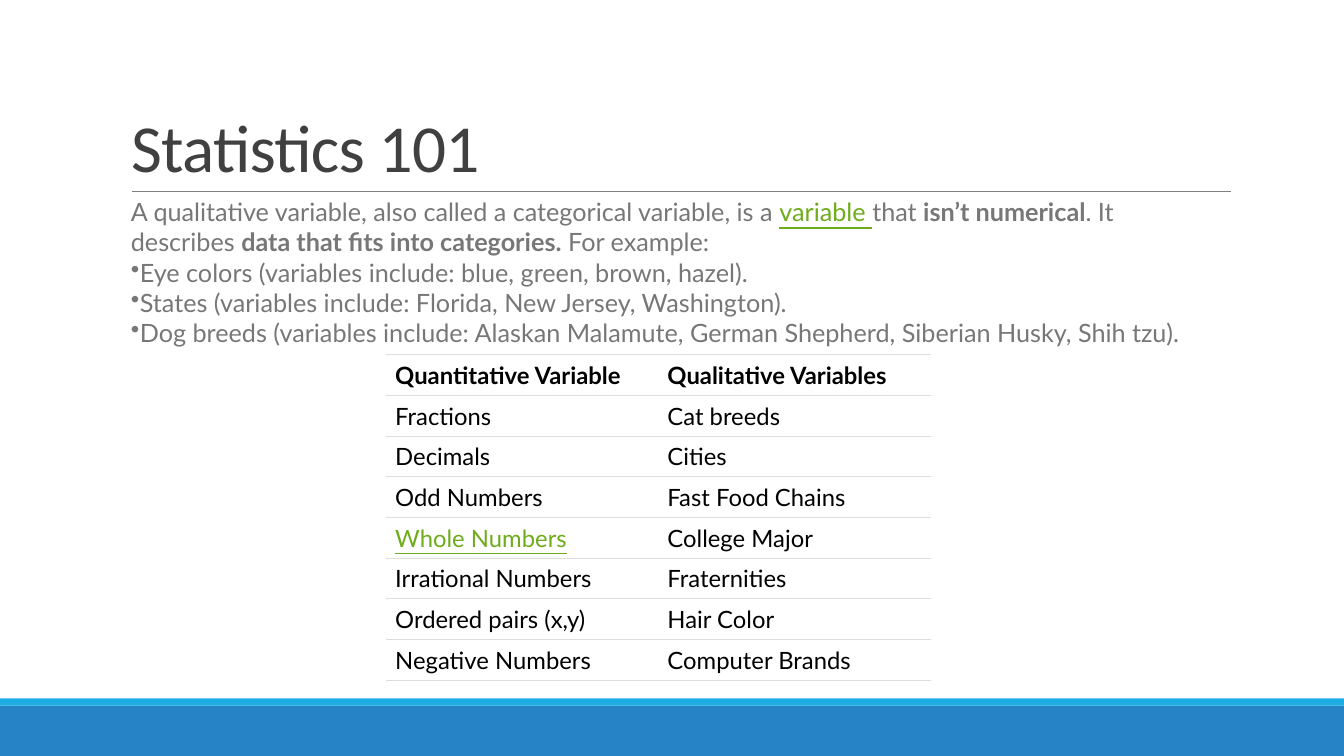
"""Build the Statistics 101 slide on qualitative and quantitative variables."""
from dataclasses import dataclass

from lxml.etree import SubElement
from pptx import Presentation
from pptx.dml.color import RGBColor
from pptx.enum.shapes import MSO_CONNECTOR, MSO_SHAPE
from pptx.enum.text import MSO_ANCHOR, MSO_AUTO_SIZE, PP_ALIGN
from pptx.oxml.ns import qn
from pptx.util import Emu, Pt


@dataclass(frozen=True)
class Theme:
    """Colours, fonts and type sizes."""
    title: str = "404040"
    body: str = "777777"
    cell: str = "000000"
    accent: str = "6EAC1C"
    rule: str = "808080"
    border: str = "DDDDDD"
    paper: str = "FFFFFF"
    band: str = "2683C6"
    stripe: str = "1CADE4"
    title_font: str = "Calibri"
    body_font: str = "Lato"
    title_size: int = 48
    body_size: int = 18
    cell_size: int = 17


def px(n):
    """Turn px, at 100 to the inch, into EMU."""
    return Emu(n * 9144)


def rgb(value):
    """Turn a hex string into a colour."""
    return RGBColor.from_string(value)


def add_run(p, text, font, size, color, bold=False, underline=False, spacing=None):
    """Add formatted text to a paragraph."""
    r = p.add_run()
    r.text = text
    f = r.font
    f.name, f.size, f.bold, f.underline = font, Pt(size), bold, underline
    f.color.rgb = rgb(color)
    if spacing is not None:
        r._r.get_or_add_rPr().set("spc", str(spacing))


class SlideBuilder:
    """Hold the theme and the slide, and draw each kind of element."""

    def __init__(self, prs, theme):
        """Start a title-only slide."""
        self.t = theme
        self.s = prs.slides.add_slide(prs.slide_layouts[5])

    def bar(self, x, y, w, h, color):
        """Draw a plain filled bar."""
        sp = self.s.shapes.add_shape(MSO_SHAPE.RECTANGLE, px(x), px(y), px(w), px(h))
        sp.shadow.inherit = False
        sp.fill.solid()
        sp.fill.fore_color.rgb = rgb(color)
        sp.line.fill.background()

    def rule(self, x1, x2, y):
        """Draw a thin horizontal line."""
        ln = self.s.shapes.add_connector(MSO_CONNECTOR.STRAIGHT, px(x1), px(y), px(x2), px(y))
        ln.line.color.rgb = rgb(self.t.rule)
        ln.line.width = Pt(0.5)
        SubElement(ln._element.spPr, qn("a:effectLst"))

    def title(self, text, x, y, w, h):
        """Place and fill the title placeholder."""
        sp = self.s.shapes.title
        sp.left, sp.top, sp.width, sp.height = px(x), px(y), px(w), px(h)
        tf = sp.text_frame
        tf.word_wrap = True
        tf.auto_size = MSO_AUTO_SIZE.NONE
        tf.vertical_anchor = MSO_ANCHOR.BOTTOM
        p = tf.paragraphs[0]
        p.alignment = PP_ALIGN.LEFT
        p.line_spacing = 0.85
        add_run(p, text, self.t.title_font, self.t.title_size, self.t.title, spacing=-50)

    def body(self, intro, bullets, x, y, w, h):
        """Write an introduction of formatted runs, then bullets."""
        tf = self.s.shapes.add_textbox(px(x), px(y), px(w), px(h)).text_frame
        tf.word_wrap = True
        style = dict(font=self.t.body_font, size=self.t.body_size, color=self.t.body)
        for text, extra in intro:
            add_run(tf.paragraphs[0], text, **{**style, **extra})
        for text in bullets:
            p = tf.add_paragraph()
            pPr = p._p.get_or_add_pPr()
            pPr.set("marL", "0")
            pPr.set("indent", "0")
            SubElement(pPr, qn("a:buChar"), char="•")
            add_run(p, text, **style)

    def table(self, rows, linked, x, y, col_w, row_h):
        """Draw a ruled table with a bold header row."""
        n, m = len(rows), len(rows[0])
        tbl = self.s.shapes.add_table(n, m, px(x), px(y), px(col_w * m), px(row_h * n)).table
        tbl.first_row = tbl.horz_banding = False
        for col in tbl.columns:
            col.width = px(col_w)
        for i, row in enumerate(rows):
            tbl.rows[i].height = px(row_h)
            for j, text in enumerate(row):
                self.cell(tbl.cell(i, j), text, bold=i == 0, link=text in linked)

    def cell(self, c, text, bold, link):
        """Fill one table cell and rule its top and bottom."""
        c.margin_left, c.margin_right = px(9), px(10)
        c.margin_top = c.margin_bottom = px(6)
        c.vertical_anchor = MSO_ANCHOR.MIDDLE
        tcPr = c._tc.get_or_add_tcPr()
        for side in "LR":
            SubElement(SubElement(tcPr, qn(f"a:ln{side}")), qn("a:noFill"))
        for side in "TB":
            ln = SubElement(tcPr, qn(f"a:ln{side}"), w=str(Pt(0.75)))
            SubElement(SubElement(ln, qn("a:solidFill")), qn("a:srgbClr"), val=self.t.border)
        c.fill.solid()
        c.fill.fore_color.rgb = rgb(self.t.paper)
        add_run(c.text_frame.paragraphs[0], text, self.t.body_font, self.t.cell_size,
                self.t.accent if link else self.t.cell, bold=bold, underline=link)


def main():
    """Build and save the slide."""
    prs = Presentation()
    prs.slide_width, prs.slide_height = px(1333), px(750)
    theme = Theme()
    s = SlideBuilder(prs, theme)
    s.bar(0, 700, 1333, 50, theme.band)
    s.bar(0, 693, 1333, 7, theme.stripe)
    s.rule(131, 1221, 190)
    s.title("Statistics 101", 120, 31, 1100, 159)
    intro = [
        ("A qualitative variable, also called a categorical variable, is a ", {}),
        ("variable ", dict(color=theme.accent, underline=True)),
        ("that ", {}),
        ("isn’t numerical", dict(bold=True)),
        (". It describes ", {}),
        ("data that fits into categories.", dict(bold=True)),
        (" For example:", {}),
    ]
    bullets = [
        "Eye colors (variables include: blue, green, brown, hazel).",
        "States (variables include: Florida, New Jersey, Washington).",
        "Dog breeds (variables include: Alaskan Malamute, German Shepherd, "
        "Siberian Husky, Shih tzu).",
    ]
    s.body(intro, bullets, 120, 190, 1100, 162)
    rows = [
        ("Quantitative Variable", "Qualitative Variables"),
        ("Fractions", "Cat breeds"),
        ("Decimals", "Cities"),
        ("Odd Numbers", "Fast Food Chains"),
        ("Whole Numbers", "College Major"),
        ("Irrational Numbers", "Fraternities"),
        ("Ordered pairs (x,y)", "Hair Color"),
        ("Negative Numbers", "Computer Brands"),
    ]
    s.table(rows, {"Whole Numbers"}, 383, 352, 270, 40)
    prs.save("out.pptx")


if __name__ == "__main__":
    main()
